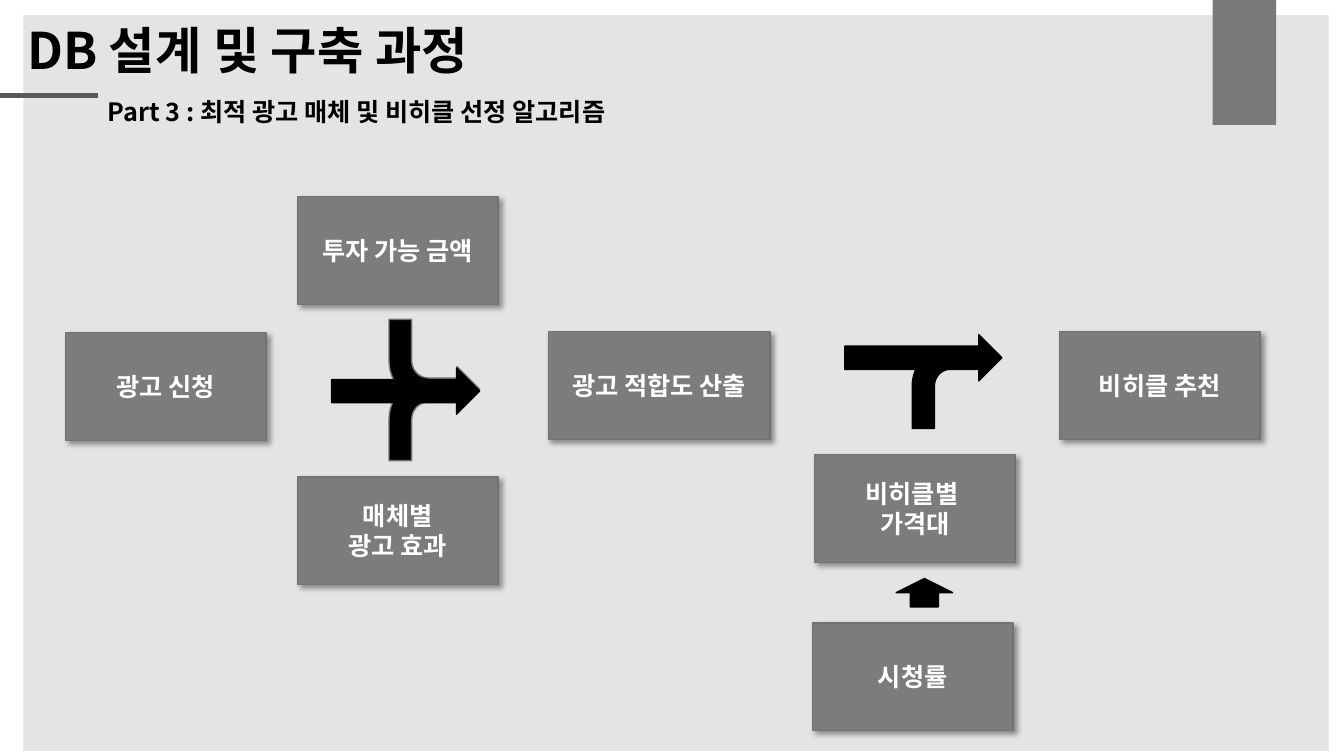
import pptx
import pptx.util
import pptx.dml.color
import pptx.enum.shapes
import pptx.enum.text
import pptx.oxml
import pptx.oxml.ns

Pt = pptx.util.Pt
RGB = pptx.dml.color.RGBColor
SHAPE = pptx.enum.shapes.MSO_SHAPE
ALIGN = pptx.enum.text.PP_ALIGN
ANCHOR = pptx.enum.text.MSO_ANCHOR
AUTOSIZE = pptx.enum.text.MSO_AUTO_SIZE
qn = pptx.oxml.ns.qn

# Content: lengths in points
TITLE = "DB 설계 및 구축 과정"
SUBTITLE = "Part 3 : 최적 광고 매체 및 비히클 선정 알고리즘"
BOX_W, BOX_H = 143.3, 77
BOXES = [  # text, left, top, width
    ("광고 신청", 46.8, 237.6, BOX_W),
    ("광고 적합도 산출", 391.7, 236.9, 158.4),
    ("비히클 추천", 756.7, 236.9, BOX_W),
    ("매체별\n광고 효과", 212.4, 340.6, BOX_W),
    ("시청률", 580.3, 445, BOX_W),
    ("비히클별 \n가격대", 581.8, 324.7, BOX_W),
    ("투자 가능 금액", 212.4, 140.4, BOX_W),
]

FONT = "Noto Sans CJK KR"
BLACK = RGB(0x00, 0x00, 0x00)
WHITE = RGB(0xFF, 0xFF, 0xFF)
PANEL = RGB(0xD9, 0xD9, 0xD9)
TAB = RGB(0x79, 0x79, 0x79)
BOX = RGB(0x7C, 0x7C, 0x7C)
EDGE = RGB(0x76, 0x71, 0x71)
RULE = RGB(0x59, 0x59, 0x59)

ARROW_GROUPS = [  # each arrow: preset, left, top, width, height, line, flipped
    [
        (SHAPE.BENT_ARROW, 277.9, 262.8, 64.8, 66.2, EDGE, False),
        (SHAPE.BENT_ARROW, 277.9, 228.2, 64.8, 66.2, EDGE, True),
        (SHAPE.RIGHT_ARROW, 236.9, 262.8, 105.8, 33.1, BLACK, False),
    ],
    [
        (SHAPE.RIGHT_ARROW, 603.4, 239, 112.3, 33.1, BLACK, False),
        (SHAPE.BENT_ARROW, 651.6, 239.8, 63.4, 66.2, BLACK, False),
    ],
]


def add_block(shapes, preset, x, y, w, h, fill, line=None):
    sp = shapes.add_shape(preset, Pt(x), Pt(y), Pt(w), Pt(h))
    sp.shadow.inherit = False
    sp.fill.solid()
    sp.fill.fore_color.rgb = fill
    if line is None:
        sp.line.fill.background()
    else:
        sp.line.color.rgb = line
        sp.line.width = Pt(1)
    return sp


def write(sp, text, size, color, align, **frame):
    tf = sp.text_frame
    for name, value in {"word_wrap": True, **frame}.items():
        setattr(tf, name, value)
    for i, line in enumerate(text.split("\n")):
        p = tf.add_paragraph() if i else tf.paragraphs[0]
        p.alignment = align
        r = p.add_run()
        r.text = line
        for name, value in {"size": Pt(size), "bold": True, "name": FONT}.items():
            setattr(r.font, name, value)
        r.font.color.rgb = color
        ea = pptx.oxml.parse_xml(
            f'<a:ea {pptx.oxml.ns.nsdecls("a")} typeface="{FONT}"/>')
        r.font.element.append(ea) if hasattr(r.font, "element") else \
            r._r.get_or_add_rPr().append(ea)


def add_shadow(sp):
    effects = sp.element.spPr.find(qn("a:effectLst"))
    effects.append(pptx.oxml.parse_xml(
        f'<a:outerShdw {pptx.oxml.ns.nsdecls("a")} blurRad="{Pt(4)}" dist="{Pt(3)}" '
        'dir="2700000" algn="tl" rotWithShape="0">'
        '<a:srgbClr val="000000"><a:alpha val="40000"/></a:srgbClr></a:outerShdw>'))


prs = pptx.Presentation()
prs.slide_width, prs.slide_height = Pt(960), Pt(540)
s = prs.slides.add_slide(prs.slide_layouts[5])

# Background panel, corner tab and rule
panel = add_block(s.shapes, SHAPE.RECTANGLE, 16.6, 10.8, 932.4, 525.6, PANEL)
alpha = pptx.oxml.parse_xml(f'<a:alpha {pptx.oxml.ns.nsdecls("a")} val="69000"/>')
panel.element.spPr.find(qn("a:solidFill"))[0].append(alpha)
add_block(s.shapes, SHAPE.RECTANGLE, 866.2, 0, 45.4, 89.3, TAB)
rule = s.shapes.add_connector(
    pptx.enum.shapes.MSO_CONNECTOR.STRAIGHT, 0, Pt(68.4), Pt(69.8), Pt(68.4))
rule.line.color.rgb = RULE
rule.line.width = Pt(3.5)
rule.element.spPr.append(pptx.oxml.parse_xml(
    f'<a:effectLst {pptx.oxml.ns.nsdecls("a")}/>'))

# Title, in front of the panel, and subtitle
title = s.shapes.title
rule.element.addnext(title.element)
title.left, title.top, title.width, title.height = Pt(12.2), Pt(10.1), Pt(529.2), Pt(51.1)
subtitle = s.shapes.add_textbox(Pt(69.8), Pt(65.5), Pt(623.5), Pt(28.8))
for sp, text, size in ((title, TITLE, 36), (subtitle, SUBTITLE, 18)):
    write(sp, text, size, BLACK, ALIGN.LEFT, vertical_anchor=ANCHOR.TOP,
          auto_size=AUTOSIZE.SHAPE_TO_FIT_TEXT)

# Process boxes
for text, x, y, w in BOXES:
    sp = add_block(s.shapes, SHAPE.RECTANGLE, x, y, w, BOX_H, BOX, EDGE)
    add_shadow(sp)
    write(sp, text, 18, WHITE, ALIGN.CENTER, vertical_anchor=ANCHOR.MIDDLE)

# Merging arrows
for arrows in ARROW_GROUPS:
    group = s.shapes.add_group_shape()
    for preset, x, y, w, h, line, flipped in arrows:
        sp = add_block(group.shapes, preset, x, y, w, h, BLACK, line)
        if flipped:
            sp.element.spPr.find(qn("a:xfrm")).set("flipV", "1")

# Upward arrow
up = add_block(s.shapes, SHAPE.RIGHT_ARROW, 650.2, 403.2, 20.2, 40.3, BLACK, BLACK)
up.rotation = 270

prs.save("out.pptx")
